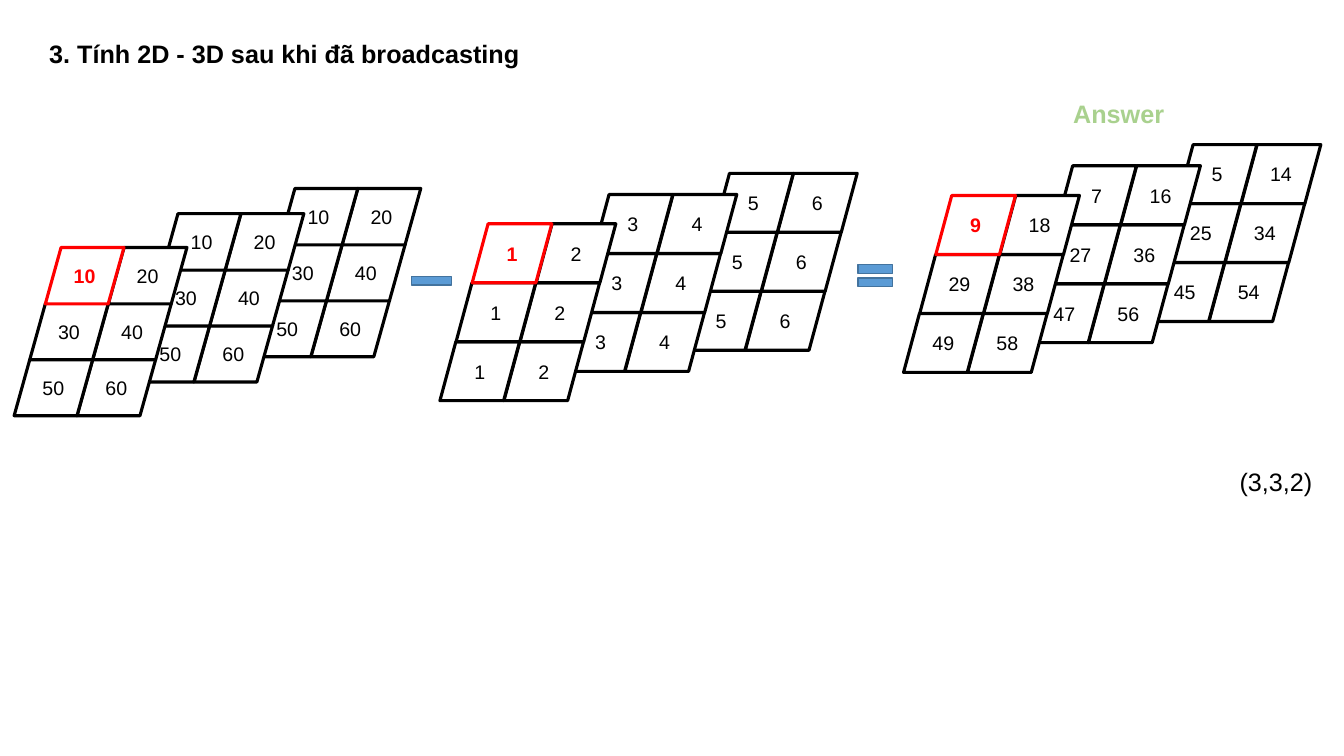
from pptx import Presentation
from pptx.dml.color import RGBColor
from pptx.enum.shapes import MSO_SHAPE as Shape
from pptx.enum.text import MSO_ANCHOR as Anchor, MSO_AUTO_SIZE as AutoSize, PP_ALIGN as Align
from pptx.util import Pt

PX = 4572
SLIDE_SIZE = (2667, 1500)
BLACK, WHITE, RED, GREEN = "000000", "FFFFFF", "FF0000", "A9D18E"
BLUE, DARK_BLUE = "5B9BD5", "43739E"

LABELS = [
    ("3. Tính 2D - 3D sau khi đã broadcasting", (78, 66, 974, 80), BLACK, True),
    ("(3,3,2)", (2440, 916, 184, 80), BLACK, False),
    ("Answer", (2110, 186, 220, 80), GREEN, True),
]

OPERATORS = [
    (Shape.MATH_MINUS, (802, 522, 108, 70)),
    (Shape.MATH_EQUAL, (1690, 510, 94, 74)),
]

SMALL_GRID = {"cell": (156, 112), "column_step": 125, "row_step": 111, "slant": 31}
LARGE_GRID = {"cell": (158, 117), "column_step": 127, "row_step": 117, "slant": 32}

TENSORS = [
    (SMALL_GRID, [
        ((554, 374), [(10, 20), (30, 40), (50, 60)]),
        ((322, 424), [(10, 20), (30, 40), (50, 60)]),
        ((90, 491), [(10, 20), (30, 40), (50, 60)]),
    ]),
    (LARGE_GRID, [
        ((1416, 344), [(5, 6), (5, 6), (5, 6)]),
        ((1177, 386), [(3, 4), (3, 4), (3, 4)]),
        ((937, 444), [(1, 2), (1, 2), (1, 2)]),
    ]),
    (LARGE_GRID, [
        ((2336, 287), [(5, 14), (25, 34), (45, 54)]),
        ((2097, 329), [(7, 16), (27, 36), (47, 56)]),
        ((1857, 388), [(9, 18), (29, 38), (49, 58)]),
    ]),
]


def color(value):
    return RGBColor.from_string(value)


def scaled(box):
    return [length * PX for length in box]


def write(text_frame, text, size, text_color, bold):
    text_frame.text = text
    font = text_frame.paragraphs[0].runs[0].font
    font.name, font.size, font.bold = "Arial", Pt(size), bold
    font.color.rgb = color(text_color)


def add_label(shapes, text, box, text_color, bold):
    text_frame = shapes.add_textbox(*scaled(box)).text_frame
    text_frame.word_wrap = False
    text_frame.auto_size = AutoSize.SHAPE_TO_FIT_TEXT
    write(text_frame, text, 18, text_color, bold)


def add_filled(shapes, kind, box, fill, line, line_width):
    shape = shapes.add_shape(kind, *scaled(box))
    shape.shadow.inherit = False
    shape.fill.solid()
    shape.fill.fore_color.rgb = color(fill)
    shape.line.color.rgb = color(line)
    shape.line.width = Pt(line_width)
    return shape


def add_cell(shapes, value, box, highlighted):
    ink = RED if highlighted else BLACK
    cell = add_filled(shapes, Shape.FLOWCHART_DATA, box, WHITE, ink, 2.25)
    write(cell.text_frame, str(value), 14, ink, highlighted)
    cell.text_frame.vertical_anchor = Anchor.MIDDLE
    cell.text_frame.paragraphs[0].alignment = Align.CENTER


def add_tensor(shapes, grid, layers):
    group = shapes.add_group_shape()
    front = len(layers) - 1
    for depth, ((left, top), rows) in enumerate(layers):
        for row in reversed(range(len(rows))):
            for column in reversed(range(len(rows[row]))):
                x = left + column * grid["column_step"] - row * grid["slant"]
                y = top + row * grid["row_step"]
                highlighted = (depth, row, column) == (front, 0, 0)
                add_cell(group.shapes, rows[row][column], (x, y, *grid["cell"]), highlighted)


def main():
    presentation = Presentation()
    presentation.slide_width, presentation.slide_height = scaled(SLIDE_SIZE)
    slide = presentation.slides.add_slide(presentation.slide_layouts[6])
    for grid, layers in TENSORS:
        add_tensor(slide.shapes, grid, layers)
    for kind, box in OPERATORS:
        add_filled(slide.shapes, kind, box, BLUE, DARK_BLUE, 1)
    for label in LABELS:
        add_label(slide.shapes, *label)
    presentation.save("out.pptx")


if __name__ == "__main__":
    main()
